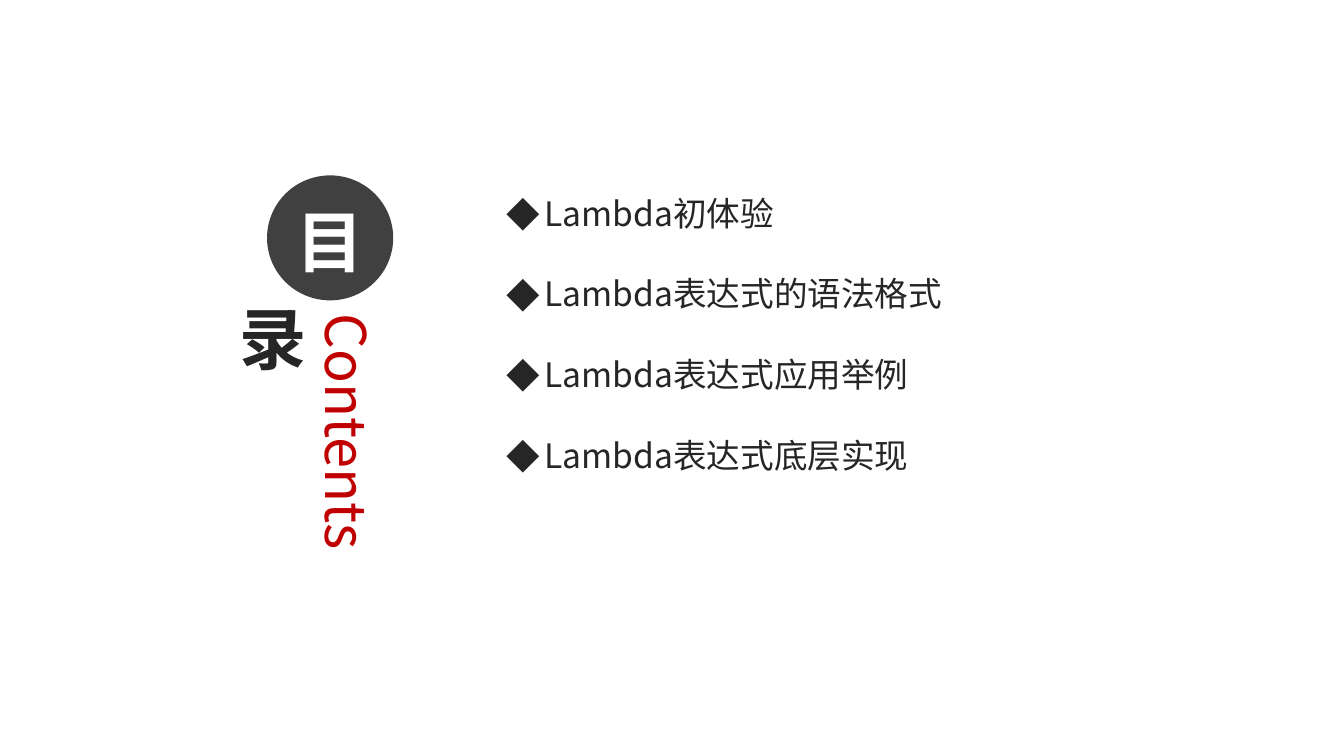
from lxml.etree import SubElement
from pptx import Presentation
from pptx.dml.color import RGBColor
from pptx.enum.shapes import MSO_SHAPE as Preset
from pptx.enum.text import MSO_ANCHOR as Anchor, MSO_AUTO_SIZE as AutoSize, PP_ALIGN as Align
from pptx.oxml.ns import qn
from pptx.util import Cm, Pt

FONT = "Noto Sans CJK SC"
COLORS = {"ink": "262626", "disc": "404040", "accent": "C00000", "white": "FFFFFF"}
TOPICS = [
    "Lambda初体验",
    "Lambda表达式的语法格式",
    "Lambda表达式应用举例",
    "Lambda表达式底层实现",
]


def rgb(name):
    return RGBColor.from_string(COLORS[name])


def write(paragraph, text, size=24, color="ink", bold=False, align=Align.LEFT, spacing=1.0):
    paragraph.alignment = align
    paragraph.line_spacing = spacing
    paragraph.space_before = paragraph.space_after = Pt(0)
    run = paragraph.add_run()
    run.text = text
    run.font.size, run.font.bold, run.font.name = Pt(size), bold, FONT
    run.font.color.rgb = rgb(color)
    SubElement(run.font._element, qn("a:ea"), typeface=FONT)


def place(shape, left, top, width, height):
    shape.left, shape.top = Cm(left), Cm(top)
    shape.width, shape.height = Cm(width), Cm(height)


def set_frame(frame, anchor, bottom=0.1):
    frame.word_wrap = True
    frame.auto_size = AutoSize.NONE
    frame.vertical_anchor = anchor
    frame.margin_left = frame.margin_right = Cm(0.18)
    frame.margin_top, frame.margin_bottom = Cm(0.1), Cm(bottom)


def add_bullet(paragraph):
    properties = paragraph._p.get_or_add_pPr()
    properties.set("marL", str(Cm(0.95)))
    properties.set("indent", str(-Cm(0.95)))
    bullet_color = SubElement(properties, qn("a:buClr"))
    SubElement(bullet_color, qn("a:srgbClr"), val=COLORS["ink"])
    SubElement(properties, qn("a:buFont"), typeface=FONT)
    SubElement(properties, qn("a:buChar"), char="◆")


def add_circle(slide, box, text, color, fill=None, bottom=0.1, spacing=1.0):
    circle = slide.shapes.add_shape(Preset.OVAL, *map(Cm, box))
    circle.shadow.inherit = False
    circle.line.fill.background()
    if fill:
        circle.fill.solid()
        circle.fill.fore_color.rgb = rgb(fill)
    else:
        circle.fill.background()
    set_frame(circle.text_frame, Anchor.MIDDLE, bottom)
    write(circle.text_frame.paragraphs[0], text, size=48, color=color, bold=True,
          align=Align.CENTER, spacing=spacing)


def fill_topics(body):
    place(body, 12.52, 3.71, 16.87, 13.03)
    frame = body.text_frame
    frame.auto_size = AutoSize.NONE
    frame.vertical_anchor = Anchor.TOP
    for index, topic in enumerate(TOPICS):
        paragraph = frame.add_paragraph() if index else frame.paragraphs[0]
        write(paragraph, topic, spacing=2.0)
        add_bullet(paragraph)


def fill_title(title):
    place(title, 7.62, 7.8, 2.18, 8.94)
    set_frame(title.text_frame, Anchor.TOP)
    title.text_frame._txBody.bodyPr.set("vert", "eaVert")
    write(title.text_frame.paragraphs[0], "Contents", size=40, color="accent")


def main():
    deck = Presentation()
    deck.slide_width, deck.slide_height = Cm(33.87), Cm(19.05)
    slide = deck.slides.add_slide(deck.slide_layouts[1])

    # Agenda list
    fill_topics(slide.placeholders[1])

    # Vertical heading with its two characters
    fill_title(slide.shapes.title)
    add_circle(slide, (6.73, 4.42, 3.18, 3.15), "目", "white", fill="disc",
               bottom=0.38, spacing=Pt(70))
    add_circle(slide, (5.49, 7.26, 2.49, 2.49), "录", "ink")

    deck.save("out.pptx")


if __name__ == "__main__":
    main()
